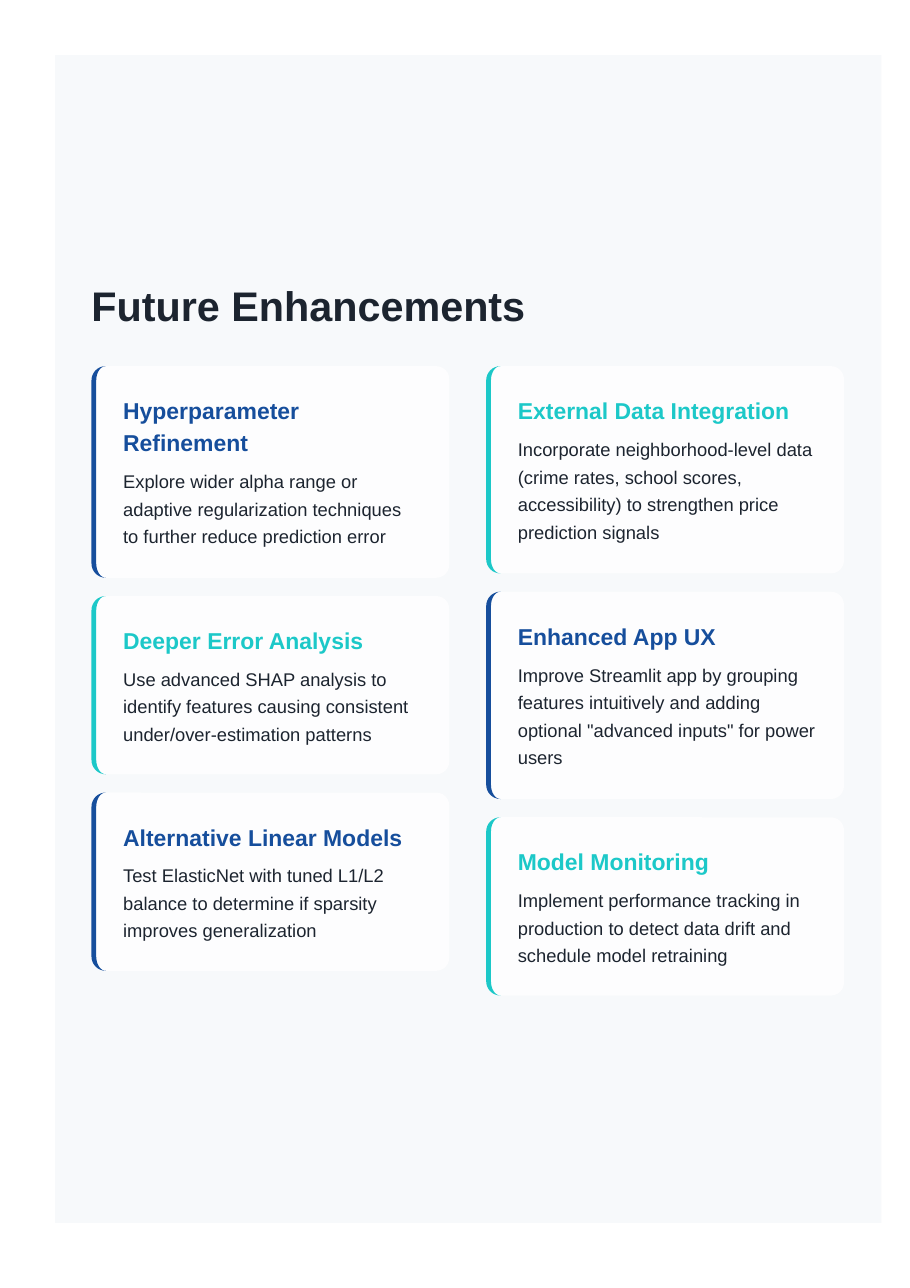
from collections import namedtuple
from dataclasses import dataclass
from math import cos, pi, sin

from lxml.etree import SubElement
from pptx import Presentation
from pptx.dml.color import RGBColor
from pptx.enum.shapes import MSO_SHAPE
from pptx.oxml.ns import qn
from pptx.util import Cm, Pt

Box = namedtuple("Box", "x y w h")  # centimetres


@dataclass(frozen=True)
class Theme:
    font: str = "Arial"
    panel: str = "F7F9FB"
    card: str = "FFFFFF"
    card_opacity: int = 80
    ink: str = "1C242F"
    accents: tuple = ("164E9C", "1CC8C8")
    title_pt: float = 27
    heading_pt: float = 15
    body_pt: float = 12


THEME = Theme()
PANEL = Box(1.27, 1.27, 19.05, 26.92)
TITLE = Box(2.11, 6.46, 12, 1.2)
CARD_TOP, CARD_WIDTH, CARD_GAP = 8.44, 8.25, 0.42

# Each column: left edge, text width, cards as (height, heading, body)
COLUMNS = [
    (2.11, 6.7, [
        (4.88, "Hyperparameter Refinement",
         "Explore wider alpha range or adaptive regularization techniques "
         "to further reduce prediction error"),
        (4.11, "Deeper Error Analysis",
         "Use advanced SHAP analysis to identify features causing consistent "
         "under/over-estimation patterns"),
        (4.11, "Alternative Linear Models",
         "Test ElasticNet with tuned L1/L2 balance to determine if sparsity "
         "improves generalization"),
    ]),
    (11.21, 6.95, [
        (4.78, "External Data Integration",
         "Incorporate neighborhood-level data (crime rates, school scores, "
         "accessibility) to strengthen price prediction signals"),
        (4.78, "Enhanced App UX",
         "Improve Streamlit app by grouping features intuitively and adding "
         'optional "advanced inputs" for power users'),
        (4.11, "Model Monitoring",
         "Implement performance tracking in production to detect data drift "
         "and schedule model retraining"),
    ]),
]


def paint(shape, color, opacity=100):
    shape.shadow.inherit = False
    shape.fill.solid()
    shape.fill.fore_color.rgb = RGBColor.from_string(color)
    shape.line.fill.background()
    if opacity < 100:
        clr = shape._element.spPr.find(qn("a:solidFill"))[0]
        SubElement(clr, qn("a:alpha")).set("val", str(opacity * 1000))


def add_block(shapes, kind, box, color, opacity=100):
    sp = shapes.add_shape(kind, *map(Cm, box))
    paint(sp, color, opacity)
    return sp


def add_text(shapes, box, paragraphs):
    """Each paragraph is (text, font values, paragraph values)."""
    tf = shapes.add_textbox(*map(Cm, box)).text_frame
    tf.word_wrap = True
    tf.margin_left = tf.margin_top = tf.margin_right = tf.margin_bottom = 0
    for i, (text, font, layout) in enumerate(paragraphs):
        p = tf.add_paragraph() if i else tf.paragraphs[0]
        for name, value in layout.items():
            setattr(p, name, value)
        r = p.add_run()
        r.text = text
        r.font.name = THEME.font
        for name, value in font.items():
            if name == "color":
                r.font.color.rgb = RGBColor.from_string(value)
            else:
                setattr(r.font, name, value)


def add_accent_edge(shapes, box, color):
    """Crescent down the left side, between two rounded left edges."""
    radius, thickness, steps = 0.33, 0.11, 8

    def left_edge(x, rx):
        angles = [pi / 2 * i / steps for i in range(steps + 1)]
        top = [(x + rx - rx * sin(a), box.y + radius - radius * cos(a))
               for a in angles]
        bottom = [(px, 2 * box.y + box.h - py) for px, py in reversed(top)]
        return top + bottom

    outer = left_edge(box.x, radius)
    inner = left_edge(box.x + thickness, radius - thickness)
    outline = [(Cm(x), Cm(y)) for x, y in outer + inner[::-1]]
    ff = shapes.build_freeform(*outline[0])
    ff.add_line_segments(outline[1:])
    paint(ff.convert_to_shape(), color)


def add_card(s, box, text_width, color, heading, body):
    shapes = s.shapes.add_group_shape().shapes
    inset = 0.05
    face = add_block(shapes, MSO_SHAPE.ROUNDED_RECTANGLE,
                     Box(box.x + inset, box.y, box.w - inset, box.h),
                     THEME.card, THEME.card_opacity)
    face.adjustments[0] = 0.3 / box.h
    add_accent_edge(shapes, box, color)
    add_text(shapes, Box(box.x + 0.73, box.y + 0.6, text_width, box.h - 1.2), [
        (heading, dict(size=Pt(THEME.heading_pt), bold=True, color=color),
         dict(line_spacing=1.17)),
        (body, dict(size=Pt(THEME.body_pt), color=THEME.ink),
         dict(line_spacing=1.25, space_before=Pt(5.4))),
    ])


def add_column(s, column, x, text_width, cards):
    y = CARD_TOP
    for row, (height, heading, body) in enumerate(cards):
        color = THEME.accents[(column + row) % 2]
        add_card(s, Box(x, y, CARD_WIDTH, height), text_width, color, heading, body)
        y += height + CARD_GAP


def main():
    prs = Presentation()
    prs.slide_width, prs.slide_height = Cm(20.98), Cm(29.69)
    s = prs.slides.add_slide(prs.slide_layouts[6])
    add_block(s.shapes, MSO_SHAPE.RECTANGLE, PANEL, THEME.panel)
    add_text(s.shapes, TITLE, [
        ("Future Enhancements",
         dict(size=Pt(THEME.title_pt), bold=True, color=THEME.ink), {}),
    ])
    for column, values in enumerate(COLUMNS):
        add_column(s, column, *values)
    prs.save("out.pptx")


if __name__ == "__main__":
    main()
